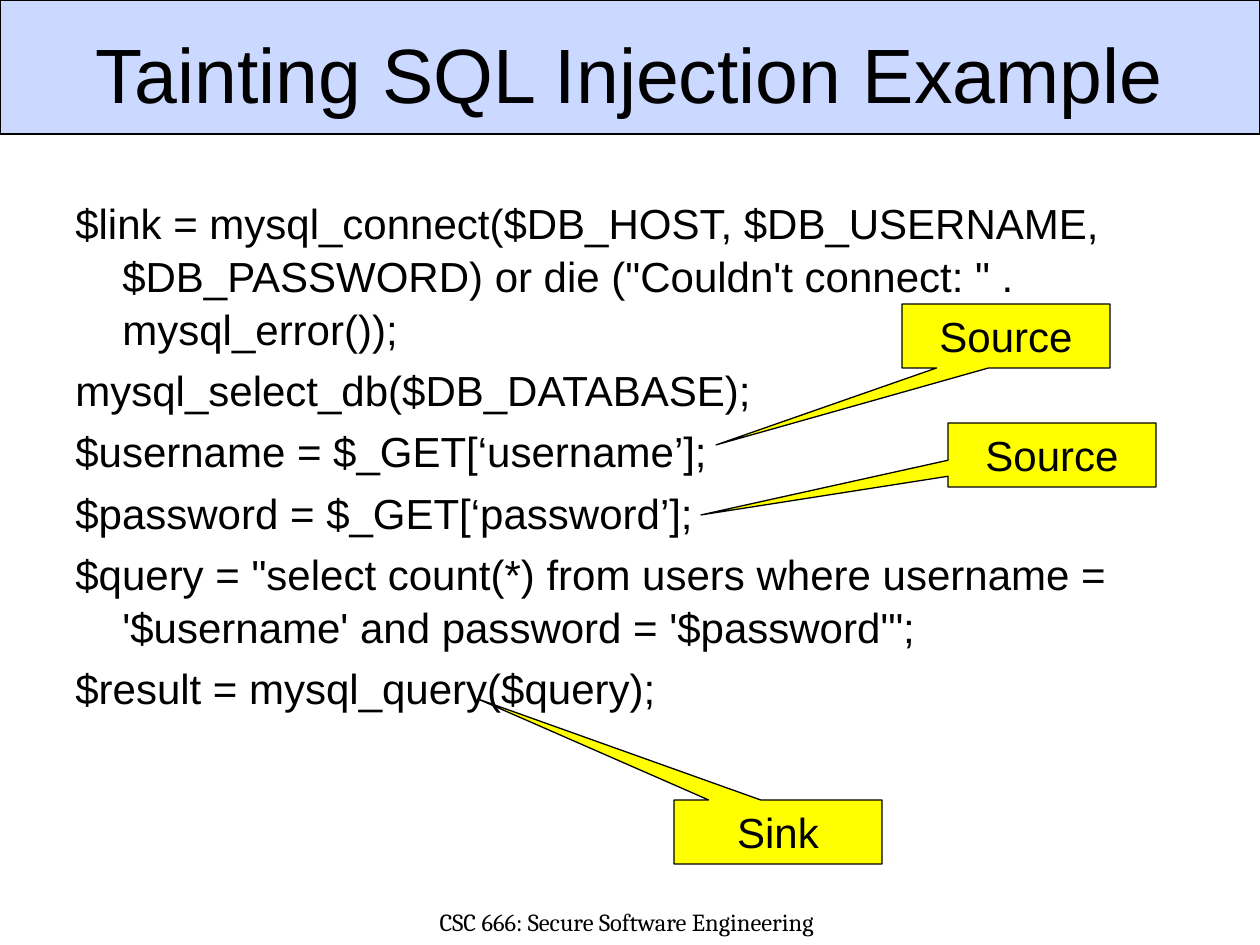
from lxml import etree
from pptx import Presentation, util as u
from pptx.dml.color import RGBColor
from pptx.enum import shapes, text
from pptx.oxml.ns import qn

SCALE = 914400 // 126
BLACK = RGBColor(0, 0, 0)
BLUE = RGBColor(0x33, 0x66, 0xFF)
YELLOW = RGBColor(0xFF, 0xFF, 0)

CODE = [
    "$link = mysql_connect($DB_HOST, $DB_USERNAME, $DB_PASSWORD) "
    "or die (\"Couldn't connect: \" . mysql_error());",
    "mysql_select_db($DB_DATABASE);",
    "$username = $_GET[‘username’];",
    "$password = $_GET[‘password’];",
    "$query = \"select count(*) from users where username = "
    "'$username' and password = '$password'\";",
    "$result = mysql_query($query);",
]
# Label, left and top of the box, tip of the tail
NOTES = [
    ("Source", (902, 304), (716, 445)),
    ("Source", (948, 423), (701, 515)),
    ("Sink", (674, 800), (478, 699)),
]


def px(n):
    """Turn pixels into EMU."""
    return u.Emu(n * SCALE)


def apply(item, values):
    """Set attributes from a dict."""
    for name, value in values.items():
        setattr(item, name, value)


class Deck:
    """Holds the style and the current slide."""

    font = {"name": "Arial", "size": u.Pt(24)}
    center = {"alignment": text.PP_ALIGN.CENTER}
    middle = {"vertical_anchor": text.MSO_ANCHOR.MIDDLE}
    hang = {"space_before": u.Pt(4.8), "line_spacing": 1.05}

    def __init__(self):
        """Start a deck with one title-only slide."""
        self.prs = Presentation()
        apply(self.prs, {"slide_width": px(1260), "slide_height": px(945)})
        self.slide = self.prs.slides.add_slide(self.prs.slide_layouts[5])

    def fill_text(self, shape, lines, font=None, para=None, frame=None):
        """Fill a shape with formatted paragraphs."""
        box = shape.text_frame
        apply(box, {"word_wrap": True, "auto_size": text.MSO_AUTO_SIZE.NONE,
                    **(frame or {})})
        box.text = "\n".join(lines)
        for p in box.paragraphs:
            apply(p, para or {})
            apply(p.font, {**self.font, **(font or {})})
            p.font.color.rgb = BLACK

    def title(self, words, *area):
        """Place and format the title."""
        shape = self.slide.shapes.title
        apply(shape, dict(zip(("left", "top", "width", "height"), map(px, area))))
        self.fill_text(shape, [words], {"size": u.Pt(44)}, self.center,
                       self.middle)

    def text(self, lines, *area, font=None, para=None):
        """Add a text box."""
        shape = self.slide.shapes.add_textbox(*map(px, area))
        self.fill_text(shape, lines, font, para)
        return shape

    def code(self, lines, *area):
        """Add code lines with a hanging indent."""
        shape = self.text(lines, *area, para=self.hang)
        for p in shape.text_frame.paragraphs:
            props = p._p.get_or_add_pPr()
            props.set("marL", str(px(47)))
            props.set("indent", str(px(-47)))

    def shape(self, kind, fill, *area):
        """Add a filled shape with a thin black line."""
        shape = self.slide.shapes.add_shape(kind, *map(px, area))
        shape.shadow.inherit = False
        shape.fill.solid()
        shape.fill.fore_color.rgb = fill
        shape.line.color.rgb = BLACK
        shape.line.width = u.Pt(0.75)
        return shape

    def band(self, *area):
        """Add the translucent band behind everything."""
        shape = self.shape(shapes.MSO_SHAPE.RECTANGLE, BLUE, *area)
        color = shape._element.spPr.find(qn("a:solidFill"))[0]
        etree.SubElement(color, qn("a:alpha")).set("val", "25000")
        self.slide.shapes._spTree.insert(2, shape._element)

    def note(self, label, spot, tip, size=(208, 64)):
        """Add a callout whose tail ends at the tip."""
        shape = self.shape(shapes.MSO_SHAPE.RECTANGULAR_CALLOUT, YELLOW,
                           *spot, *size)
        for i in range(2):
            shape.adjustments[i] = (tip[i] - spot[i]) / size[i] - 0.5
        self.fill_text(shape, [label], para=self.center, frame=self.middle)


def main():
    """Build and save the slide."""
    deck = Deck()
    deck.band(0, 0, 1260, 134)
    deck.text(["CSC 666: Secure Software Engineering"], 203, 901, 848, 44,
              font={"name": "Cambria", "size": u.Pt(14)}, para=deck.center)
    deck.title("Tainting SQL Injection Example", 63, 21, 1134, 103)
    deck.code(CODE, 63, 189, 1134, 698)
    for note in NOTES:
        deck.note(*note)
    deck.prs.save("out.pptx")


main()
